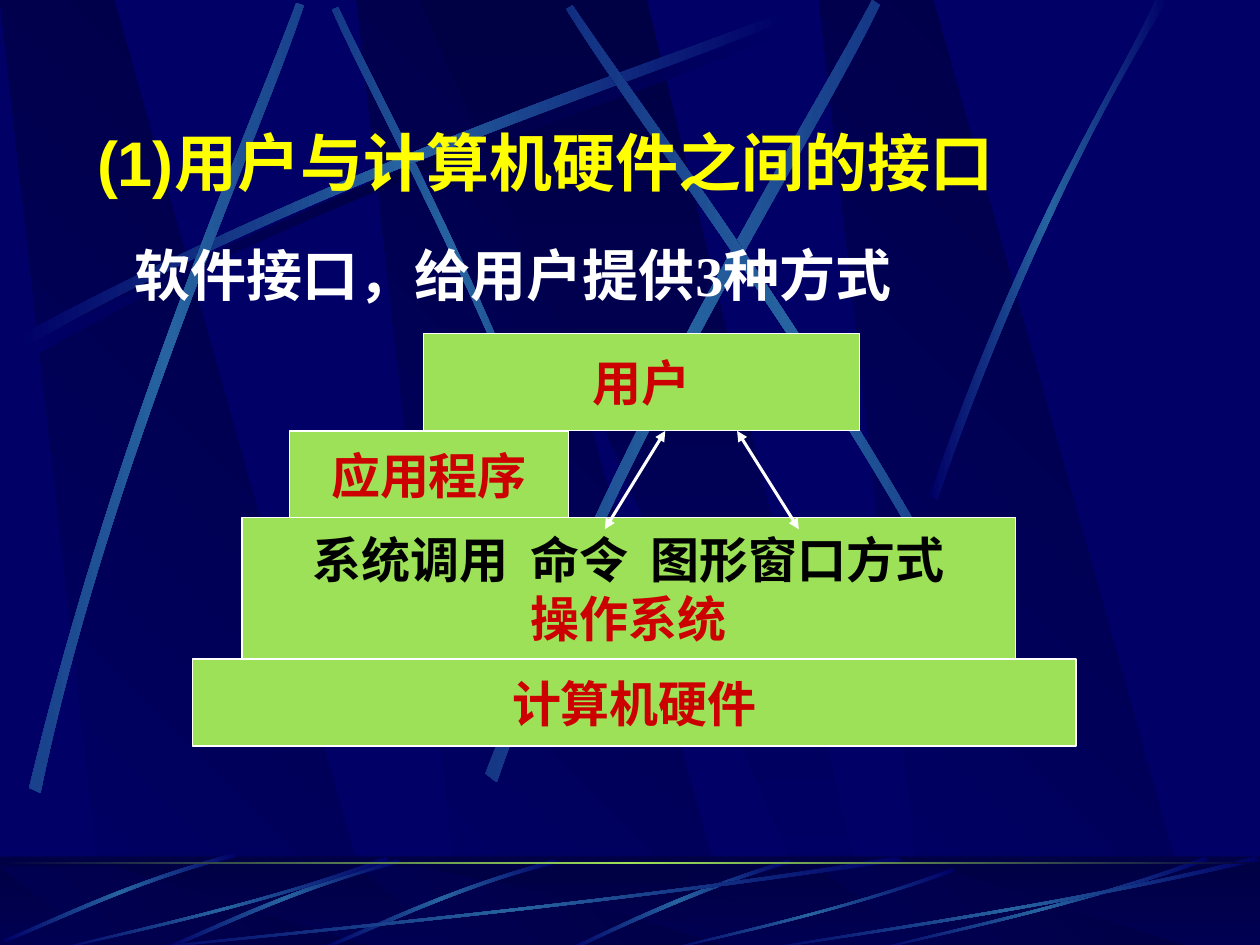
from math import cos, radians, sin

from lxml import etree
from pptx import Presentation
from pptx.dml.color import RGBColor
from pptx.enum.shapes import MSO_CONNECTOR, MSO_SHAPE
from pptx.enum.text import MSO_ANCHOR, PP_ALIGN
from pptx.oxml import parse_xml
from pptx.oxml.ns import qn
from pptx.util import Inches, Pt

RECT, FLOW = MSO_SHAPE.RECTANGLE, MSO_SHAPE.FLOWCHART_PROCESS
LINE = MSO_CONNECTOR.STRAIGHT
LEFT, CENTER = PP_ALIGN.LEFT, PP_ALIGN.CENTER
TOP, MIDDLE = MSO_ANCHOR.TOP, MSO_ANCHOR.MIDDLE
NS = "http://schemas.openxmlformats.org/drawingml/2006/main"

HUE = {"navy": "000066", "dark": "000044", "blue": "2663A0",
       "green": "9CE157", "white": "FFFFFF", "yellow": "FFFF00",
       "red": "CC0000", "black": "000000"}

# Content
TITLE = "(1)用户与计算机硬件之间的接口"
LEAD = "软件接口，给用户提供3种方式"
LAYERS = [  # preset, frame, lines of (text, colour)
    (FLOW, (1.53, 5.23, 7.01, 0.69), [("计算机硬件", "red")]),
    (RECT, (1.92, 4.11, 6.14, 1.12),
     [("系统调用  命令  图形窗口方式", "black"), ("操作系统", "red")]),
    (RECT, (2.3, 3.42, 2.21, 0.69), [("应用程序", "red")]),
    (RECT, (3.36, 2.65, 3.46, 0.77), [("用户", "red")]),
]
ARROWS = [(5.28, 3.42, 4.8, 4.2), (5.85, 3.42, 6.34, 4.2)]

# Backdrop: outlines as fractions of their frames
SLAT = [(0.28, 1), (1, 1), (0.3, 0), (0, 0)]
WEDGE = [(0, 0), (0.9, 1), (1, 1), (0.5, 0)]
SLATS = [2.83, 0, 6.5]
SWEEP = [(1, 0.04), (0.57, 0.57), (0.17, 0.85), (0, 1),
         (0, 0.99), (0.17, 0.81), (0.62, 0.51), (0.99, 0)]
SWEEPS = [(1, 6.8, 6.17, 0.75), (0.42, 6.8, 2.67, 0.75),
          (5.27, 6.89, 2.31, 0.66), (6.92, 6.8, 2.67, 0.75),
          (6, 6.8, 4, 0.75)]

# Streaks in inches: two cubic edges of four points each
SHADE = [(0.2, 2.75), (2.84, 1.34), (5.24, 0.59), (6.26, 0.18),
         (6.29, 0.24), (5.28, 0.69), (2.54, 1.51), (0.23, 2.85)]
STEEP = [  # turn, centre, points
    (45, (3.62, 2.23),
     [(4.6, 4.36), (3.91, 2.34), (3.02, 0.77), (2.69, 0.05),
      (2.64, 0.07), (2.95, 0.79), (3.98, 2.58), (4.54, 4.39)]),
    (311.7, (1.33, 3.16),
     [(0.23, 6.25), (0.93, 3.34), (1.97, 1.05), (2.35, 0.02),
      (2.41, 0.04), (2.07, 1.08), (0.86, 3.68), (0.32, 6.29)]),
    (321.6, (5.43, 3.11),
     [(3.85, 6.14), (4.98, 3.2), (6.38, 1.02), (6.92, 0),
      (6.98, 0.04), (6.49, 1.08), (4.86, 3.55), (3.94, 6.21)]),
    (34.8, (6.27, 2.86),
     [(8.06, 5.6), (6.7, 2.93), (5.16, 0.95), (4.55, 0.04),
      (4.5, 0.07), (5.07, 1.01), (6.85, 3.25), (7.99, 5.66)]),
]
RIGHT = [(7.38, 3.93), (8.14, 1.73), (8.88, 0.66), (9.17, 0),
         (9.27, 0), (8.36, 1.45), (7.69, 3.22), (7.44, 3.97)]
FLOOR = [(6.27, 6.82), (5.37, 7.09), (4.77, 7.42), (4.48, 7.54),
         (4.53, 7.55), (4.9, 7.37), (5.71, 7), (6.28, 6.85)]
SHORT = [(1.86, 6.77), (0.99, 7), (0.33, 7.34), (0.02, 7.46),
         (0.03, 7.48), (0.34, 7.37), (1.1, 6.98), (1.88, 6.8)]
SHIFTS = [(2.55, 0.05), (1.3, 0.05), (0, 0)]


def rgb(name):
    return RGBColor.from_string(HUE[name])


def blend(shape, names, angle):
    """Fill a borderless shape with evenly spaced colour stops."""
    shape.shadow.inherit = False
    shape.line.fill.background()
    shape.fill.solid()
    step = 100000 // (len(names) - 1)
    stops = "".join(f'<a:gs pos="{i * step}"><a:srgbClr val="{HUE[n]}"/></a:gs>'
                    for i, n in enumerate(names))
    grad = parse_xml(f'<a:gradFill xmlns:a="{NS}" rotWithShape="0">'
                     f'<a:gsLst>{stops}</a:gsLst>'
                     f'<a:lin ang="{angle * 60000}" scaled="0"/></a:gradFill>')
    props = shape._element.spPr
    props.replace(props.find(qn("a:solidFill")), grad)


def outline(points, names, angle):
    spots = [(Inches(x), Inches(y)) for x, y in points]
    form = shapes.build_freeform(*spots[0], scale=1.0)
    form.add_line_segments(spots[1:], close=True)
    shape = form.convert_to_shape()
    blend(shape, names, angle)
    return shape


def fit(points, x, y, w, h):
    return [(x + u * w, y + v * h) for u, v in points]


def spin(points, centre, turn):
    a, (cx, cy) = radians(turn), centre
    return [(cx + (x - cx) * cos(a) - (y - cy) * sin(a),
             cy + (x - cx) * sin(a) + (y - cy) * cos(a)) for x, y in points]


def streak(points, mid="blue", turn=0, centre=(0, 0)):
    shape = outline(spin(points, centre, -turn), ("navy", mid, "navy"), 0)
    shape.rotation = turn
    # Join each edge's three segments into one cubic curve
    legs = list(shape._element.iter(qn("a:lnTo")))
    for edge in (legs[:3], legs[4:7]):
        bend = etree.Element(qn("a:cubicBezTo"))
        edge[0].addprevious(bend)
        for leg in edge:
            bend.append(leg[0])
            leg.getparent().remove(leg)


def panels(top, height):
    for x in SLATS:
        outline(fit(SLAT, x, top, 3.02, height), ("navy", "dark"), 315)
    outline(fit(WEDGE, 3.33, top, 3.61, height), ("dark", "navy"), 90)


def place(shape, frame):
    shape.left, shape.top, shape.width, shape.height = map(Inches, frame)


def write(shape, lines, size, font, align, anchor, wrap=False):
    frame = shape.text_frame
    frame.text = "\n".join(text for text, _ in lines)
    frame.word_wrap, frame.vertical_anchor = wrap, anchor
    for para, (_, name) in zip(frame.paragraphs, lines):
        para.alignment = align
        for run in para.runs:
            run.font.size, run.font.name, run.font.bold = Pt(size), font, True
            run.font.color.rgb = rgb(name)


deck = Presentation()
deck.slide_width, deck.slide_height = Inches(10), Inches(7.5)
slide = deck.slides.add_slide(deck.slide_layouts[5])
shapes = slide.shapes
slide.background.fill.solid()
slide.background.fill.fore_color.rgb = rgb("navy")

# Upper backdrop
panels(0, 7.52)
streak(SHADE, "dark")
turn, centre, points = STEEP[0]
streak(points, "blue", turn, centre)
streak([(x - 0.06, y - 0.08) for x, y in SHADE])
for turn, centre, points in STEEP[1:]:
    streak(points, "blue", turn, centre)
streak(RIGHT)

# Floor
floor = shapes.add_shape(RECT, 0, Inches(6.8), Inches(10), Inches(0.75))
blend(floor, ("dark", "navy"), 90)
panels(6.88, 0.66)
veil = shapes.add_shape(RECT, 0, Inches(6.79), Inches(10), Inches(0.75))
veil.shadow.inherit = False
veil.line.fill.background()
veil.fill.solid()
veil.fill.fore_color.rgb = rgb("dark")
tint = veil._element.spPr.find(qn("a:solidFill"))[0]
etree.SubElement(tint, qn("a:alpha"), val="50000")
streak(FLOOR)
for dx, dy in SHIFTS:
    streak([(x + dx, y + dy) for x, y in SHORT], "blue", 314.9,
           (0.95 + dx, 7.13 + dy))
for frame in SWEEPS:
    streak(fit(SWEEP, *frame))
rule = shapes.add_shape(RECT, 0, Inches(6.84), Inches(10), Inches(0.02))
blend(rule, ("dark", "green", "dark"), 0)

# Title, brought in front of the backdrop
title = shapes.title
place(title, (0.67, 0.75, 8.82, 4.89))
write(title, [(TITLE, "yellow")], 36, "Arial", LEFT, TOP, True)
title.text_frame.paragraphs[0].line_spacing = 1.3
shapes._spTree.append(title._element)

# Layers
for kind, frame, lines in LAYERS:
    box = shapes.add_shape(kind, *map(Inches, frame))
    box.shadow.inherit = False
    box.fill.solid()
    box.fill.fore_color.rgb = rgb("green")
    box.line.color.rgb, box.line.width = rgb("white"), Pt(0.75)
    write(box, lines, 28, "Times New Roman", CENTER, MIDDLE)

# Two-way arrows
for ends in ARROWS:
    arrow = shapes.add_connector(LINE, *map(Inches, ends))
    arrow.line.color.rgb, arrow.line.width = rgb("white"), Pt(1.75)
    stroke = arrow.line._get_or_add_ln()
    for tip in ("a:headEnd", "a:tailEnd"):
        etree.SubElement(stroke, qn(tip), type="triangle")
    etree.SubElement(arrow._element.spPr, qn("a:effectLst"))

# Lead line
lead = shapes.add_textbox(*map(Inches, (0.97, 1.86, 6.42, 0.64)))
write(lead, [(LEAD, "white")], 32, "Times New Roman", LEFT, TOP)

deck.save("out.pptx")
